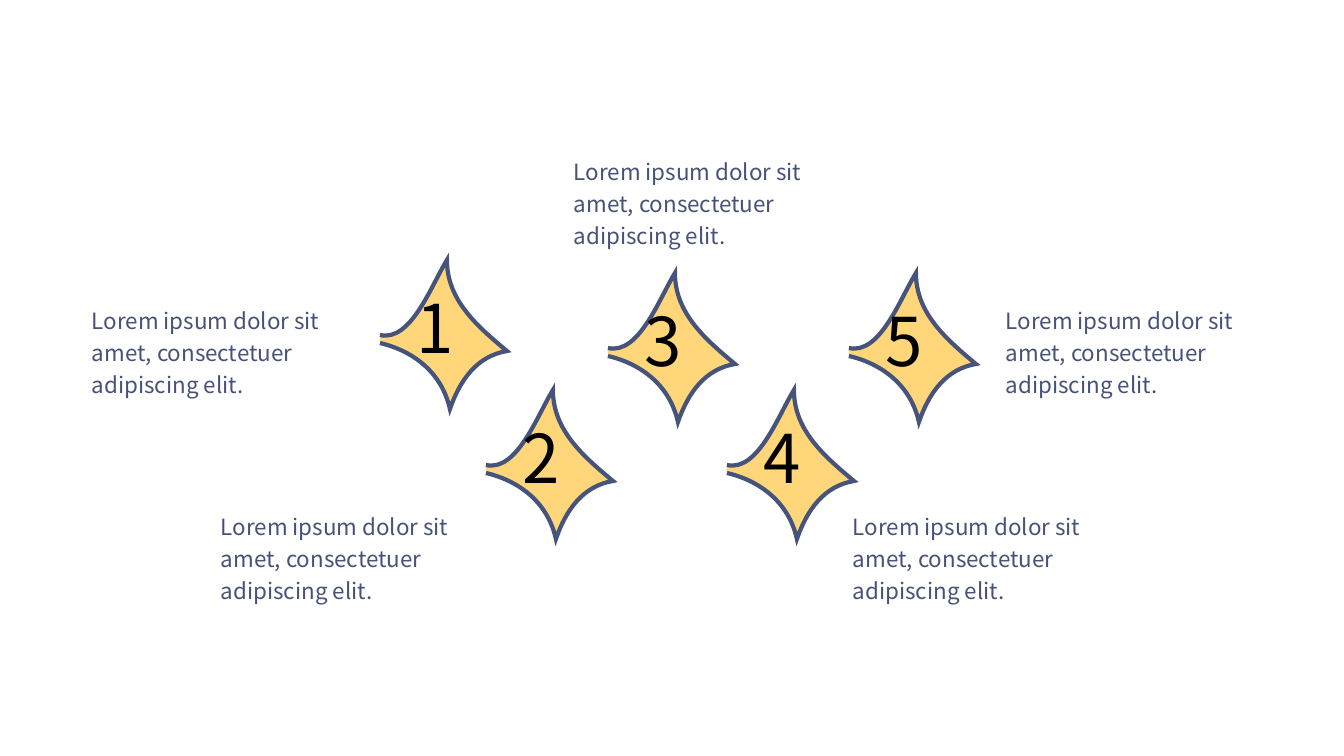
"""Build a slide of five numbered stars, each with a short description."""
import pptx
import pptx.dml.color
import pptx.enum.text
import pptx.oxml
import pptx.oxml.ns
import pptx.util

PX = 12192000 / 1344
FONT = "Noto Sans CJK JP"
COLORS = {"star": "FFD77A", "outline": "46537A", "number": "000000", "description": "475278"}
DESCRIPTION = "Lorem ipsum dolor sit amet, consectetuer adipiscing elit."
STAR_START = (0, 75)
STAR_CURVES = [
    (31, 82), (51, 26), (67, 0),
    (67, 40), (97, 66), (127, 91),
    (97, 96), (80, 120), (70, 149),
    (62, 113), (34, 91), (0, 83),
]
STEPS = [
    ((380, 260), (88, 297)),
    ((486, 390), (217, 503)),
    ((608, 273), (570, 148)),
    ((727, 390), (849, 503)),
    ((849, 273), (1002, 297)),
]


def px(length):
    return pptx.util.Emu(round(length * PX))


def add_text(shapes, left, top, width, height, text, size, color):
    box = shapes.add_textbox(px(left), px(top), px(width), px(height))
    frame = box.text_frame
    frame.word_wrap = True
    frame.auto_size = pptx.enum.text.MSO_AUTO_SIZE.SHAPE_TO_FIT_TEXT
    run = frame.paragraphs[0].add_run()
    run.text = text
    run.font.name = FONT
    run.font.size = pptx.util.Pt(size)
    run.font.color.rgb = pptx.dml.color.RGBColor.from_string(COLORS[color])
    return frame


deck = pptx.Presentation()
deck.slide_width = px(1344)
deck.slide_height = px(756)
slide = deck.slides.add_slide(deck.slide_layouts[6])

for number, ((star_left, star_top), _) in enumerate(STEPS, 1):
    group = slide.shapes.add_group_shape()
    builder = group.shapes.build_freeform(*STAR_START, scale=PX)
    builder.add_line_segments(STAR_CURVES, close=False)
    star = builder.convert_to_shape(px(star_left), px(star_top))

    corners = list(star._element.iter(pptx.oxml.ns.qn("a:lnTo")))
    outline = corners[0].getparent()
    for first in range(0, len(corners), 3):
        curve = pptx.oxml.parse_xml(f"<a:cubicBezTo {pptx.oxml.ns.nsdecls('a')}/>")
        outline.append(curve)
        for corner in corners[first:first + 3]:
            curve.append(corner[0])
            outline.remove(corner)

    star.shadow.inherit = False
    star.fill.solid()
    star.fill.fore_color.rgb = pptx.dml.color.RGBColor.from_string(COLORS["star"])
    star.line.color.rgb = pptx.dml.color.RGBColor.from_string(COLORS["outline"])
    star.line.width = pptx.util.Pt(3)
    star.line._ln.append(pptx.oxml.parse_xml(f'<a:miter {pptx.oxml.ns.nsdecls("a")} lim="800000"/>'))
    add_text(group.shapes, star_left + 27, star_top + 21, 74, 92, str(number), 48, "number")

for _, (left, top) in STEPS:
    frame = add_text(slide.shapes, left, top, 275, 106, DESCRIPTION, 16, "description")
    frame.vertical_anchor = pptx.enum.text.MSO_ANCHOR.MIDDLE
    frame.margin_left = frame.margin_right = frame.margin_top = frame.margin_bottom = px(4)
    frame.paragraphs[0].line_spacing = 1.2

deck.save("out.pptx")
